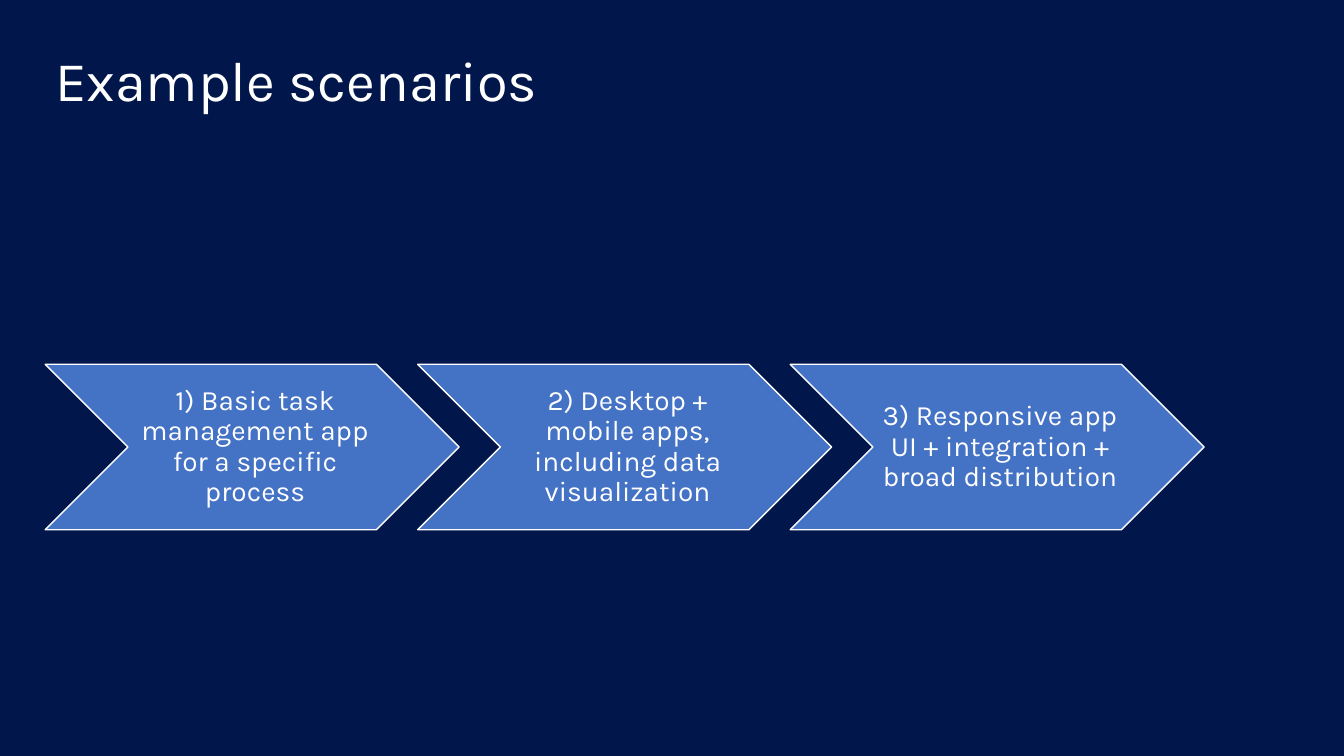
import dataclasses

import pptx
import pptx.dml.color
import pptx.enum.shapes
import pptx.enum.text
import pptx.util

Cm = pptx.util.Cm
Pt = pptx.util.Pt
RGB = pptx.dml.color.RGBColor
Align = pptx.enum.text.PP_ALIGN
Anchor = pptx.enum.text.MSO_ANCHOR


@dataclasses.dataclass(frozen=True)
class Theme:
    font: str = "Karla"
    navy: RGB = RGB(0x01, 0x16, 0x4B)
    blue: RGB = RGB(0x44, 0x72, 0xC4)
    white: RGB = RGB(0xFF, 0xFF, 0xFF)
    title: int = 40
    body: int = 20


THEME = Theme()
LEFT = 1.14
WIDTH = 10.43
STEP = WIDTH * 0.9
STEPS = (
    "1) Basic task management app for a specific process",
    "2) Desktop + mobile apps, including data visualization",
    "3) Responsive app UI + integration + broad distribution",
)


def apply(item, values):
    for name, value in values.items():
        setattr(item, name, value)


def write(shape, text, size, align, frame):
    apply(shape.text_frame, {"word_wrap": True, **frame})
    para = shape.text_frame.paragraphs[0]
    apply(para, {"alignment": align, "line_spacing": 0.9})
    run = para.add_run()
    run.text = text
    apply(run.font, {"name": THEME.font, "size": Pt(size)})
    run.font.color.rgb = THEME.white


def add_title(slide, text):
    box = slide.shapes.add_textbox(Cm(LEFT), Cm(0.79), Cm(29.21), Cm(2.21))
    write(box, text, THEME.title, Align.LEFT,
          {"vertical_anchor": Anchor.BOTTOM})


def add_step(slide, index, text):
    shape = slide.shapes.add_shape(
        pptx.enum.shapes.MSO_SHAPE.CHEVRON,
        Cm(LEFT + index * STEP), Cm(9.18), Cm(WIDTH), Cm(4.17))
    shape.shadow.inherit = False
    shape.fill.solid()
    shape.fill.fore_color.rgb = THEME.blue
    shape.line.color.rgb = THEME.white
    shape.line.width = Pt(1)
    write(shape, text, THEME.body, Align.CENTER, {
        "vertical_anchor": Anchor.MIDDLE,
        "margin_left": Cm(0.22),
        "margin_top": Cm(0.07),
        "margin_right": Cm(0.07),
        "margin_bottom": Cm(0.07),
    })


def main():
    deck = pptx.Presentation()
    apply(deck, {"slide_width": Cm(33.87), "slide_height": Cm(19.05)})
    slide = deck.slides.add_slide(deck.slide_layouts[6])
    slide.background.fill.solid()
    slide.background.fill.fore_color.rgb = THEME.navy
    for index, text in enumerate(STEPS):
        add_step(slide, index, text)
    add_title(slide, "Example scenarios")
    deck.save("out.pptx")


if __name__ == "__main__":
    main()
